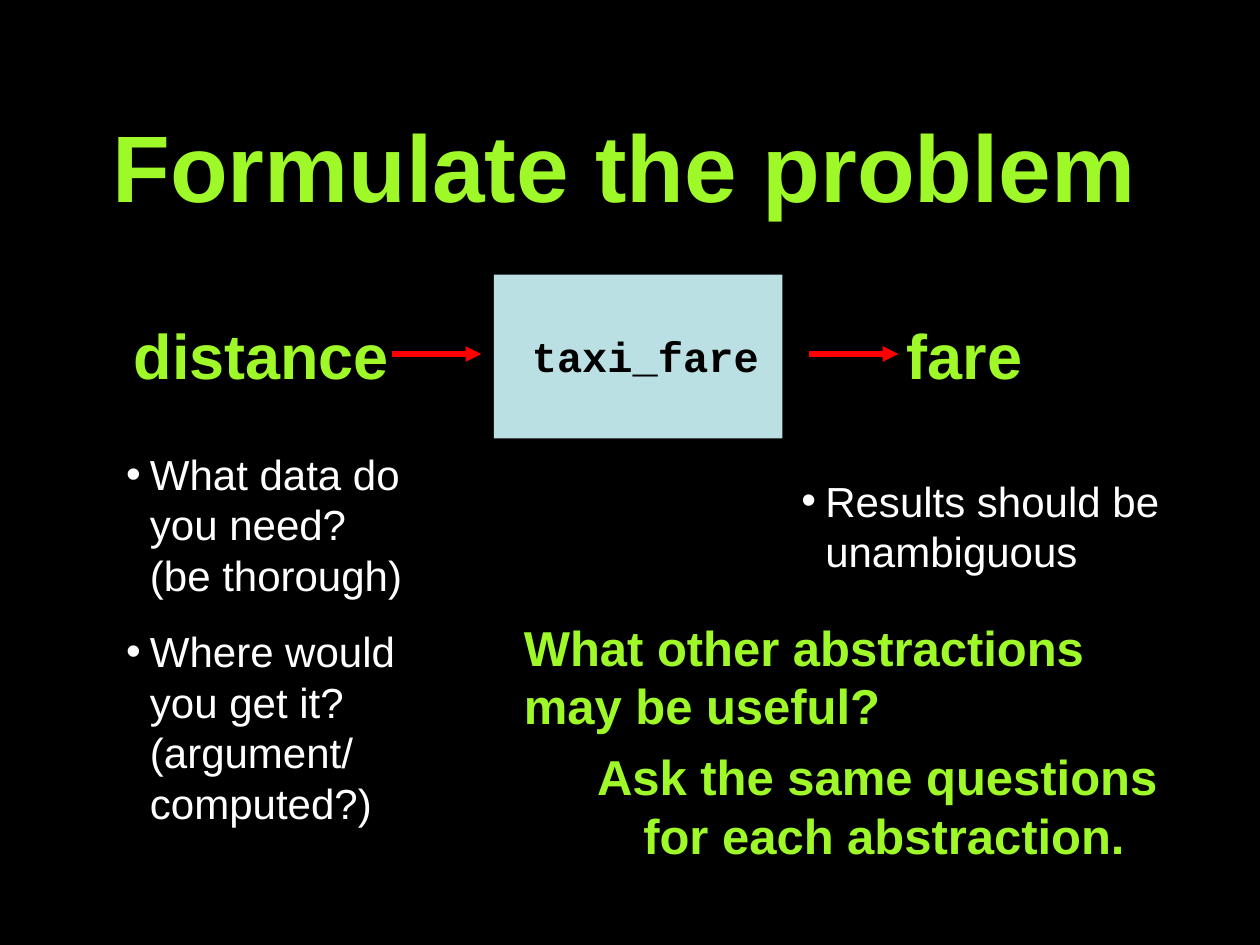
from lxml.etree import SubElement
from pptx import Presentation
from pptx.dml.color import RGBColor
from pptx.enum.shapes import MSO_CONNECTOR, MSO_SHAPE
from pptx.enum.text import MSO_ANCHOR, MSO_AUTO_SIZE, PP_ALIGN
from pptx.oxml.ns import qn
from pptx.util import Inches, Pt

BLACK = RGBColor(0x00, 0x00, 0x00)
WHITE = RGBColor(0xFF, 0xFF, 0xFF)
LIME = RGBColor(0x9F, 0xF8, 0x28)
RED = RGBColor(0xFF, 0x00, 0x00)
PALE = RGBColor(0xBB, 0xE0, 0xE3)


def place(shape, box):
    """Move a shape to a box given in inches."""
    shape.left, shape.top, shape.width, shape.height = map(Inches, box)


def pad(frame, left=0.1, top=0.05, right=0.1, bottom=0.05):
    """Set the insets of a text frame in inches."""
    frame.margin_left, frame.margin_top = Inches(left), Inches(top)
    frame.margin_right, frame.margin_bottom = Inches(right), Inches(bottom)


def style(para, size, color, bold=True, align=PP_ALIGN.LEFT, face="Arial"):
    """Format one paragraph."""
    para.alignment = align
    para.line_spacing = Pt(size * 1.2)
    para.space_before = Pt(0)
    font = para.font
    font.name, font.size, font.bold = face, Pt(size), bold
    font.color.rgb = color


def add_title(shape, box, text):
    """Fill the title placeholder."""
    place(shape, box)
    frame = shape.text_frame
    frame.text = text
    frame.auto_size = MSO_AUTO_SIZE.NONE
    frame.vertical_anchor = MSO_ANCHOR.MIDDLE
    pad(frame, 0.06, 0.13, 0.33, 0.06)
    style(frame.paragraphs[0], 54, LIME, align=PP_ALIGN.CENTER)


def add_list(shape, box, items):
    """Fill a body placeholder with bulleted items."""
    place(shape, box)
    frame = shape.text_frame
    frame.auto_size = MSO_AUTO_SIZE.NONE
    pad(frame)
    for i, item in enumerate(items):
        para = frame.add_paragraph() if i else frame.paragraphs[0]
        para.text = item
        props = para._p.get_or_add_pPr()
        props.set("marL", str(Inches(0.19)))
        props.set("indent", str(Inches(-0.19)))
        SubElement(props, qn("a:buChar")).set("char", "•")
        style(para, 24, WHITE, bold=False)
        para.space_before = Pt(15 if i else 0)


def add_note(slide, box, lines, size, align=PP_ALIGN.LEFT, inset=0, indent=0):
    """Add a lime text box with one paragraph per line."""
    shape = slide.shapes.add_textbox(*map(Inches, box))
    frame = shape.text_frame
    frame.word_wrap = True
    pad(frame, left=inset, right=inset)
    frame.text = "\n".join(lines)
    for para in frame.paragraphs:
        if indent:
            para._p.get_or_add_pPr().set("marL", str(Inches(indent)))
        style(para, size, LIME, align=align)


def add_arrow(slide, left, top, width):
    """Add a red arrow pointing right."""
    line = slide.shapes.add_connector(
        MSO_CONNECTOR.STRAIGHT, Inches(left), Inches(top),
        Inches(left + width), Inches(top))
    line.line.color.rgb = RED
    line.line.width = Pt(3)
    SubElement(line.line._get_or_add_ln(), qn("a:tailEnd")).set("type", "triangle")
    SubElement(line._element.spPr, qn("a:effectLst"))


def add_flow(slide, left, top):
    """Draw the input, the function box and the output."""
    block = slide.shapes.add_shape(
        MSO_SHAPE.RECTANGLE, Inches(left + 2.96), Inches(top),
        Inches(2.29), Inches(1.3))
    block.shadow.inherit = False
    block.fill.solid()
    block.fill.fore_color.rgb = PALE
    block.line.fill.background()
    frame = block.text_frame
    frame.text = "taxi_fare"
    frame.word_wrap = False
    frame.vertical_anchor = MSO_ANCHOR.MIDDLE
    pad(frame, left=0.21, top=0.03)
    style(frame.paragraphs[0], 24, BLACK, align=PP_ALIGN.CENTER, face="Courier New")
    for text, start, width in (("distance", 0, 2.23), ("fare", 6.14, 1.11)):
        box = (left + start, top + 0.28, width, 0.7)
        add_note(slide, box, [text], 36, PP_ALIGN.CENTER)
    for start in (2.15, 5.46):
        add_arrow(slide, left + start, top + 0.63, 0.71)


def main():
    """Build and save the slide."""
    deck = Presentation()
    deck.slide_width, deck.slide_height = Inches(10), Inches(7.5)
    slide = deck.slides.add_slide(deck.slide_layouts[3])
    slide.background.fill.solid()
    slide.background.fill.fore_color.rgb = BLACK
    title, needs, results = list(slide.placeholders)[:3]
    add_title(title, (0.59, 0.52, 9, 1.5), "Formulate the problem")
    add_flow(slide, 0.96, 2.18)
    add_list(needs, (0.9, 3.51, 2.84, 3.11), [
        "What data do you need?\v(be thorough)",
        "Where would you get it?\v(argument/\vcomputed?)"])
    add_list(results, (6.26, 3.72, 3.07, 0.9), ["Results should be unambiguous"])
    add_note(slide, (4.06, 4.85, 5, 1.04),
             ["What other abstractions may be useful?"], 28, inset=0.1)
    add_note(slide, (4.14, 5.88, 5.25, 1.04),
             ["Ask the same questions ", "for each abstraction."], 28,
             PP_ALIGN.CENTER, indent=0.5)
    deck.save("out.pptx")


if __name__ == "__main__":
    main()
